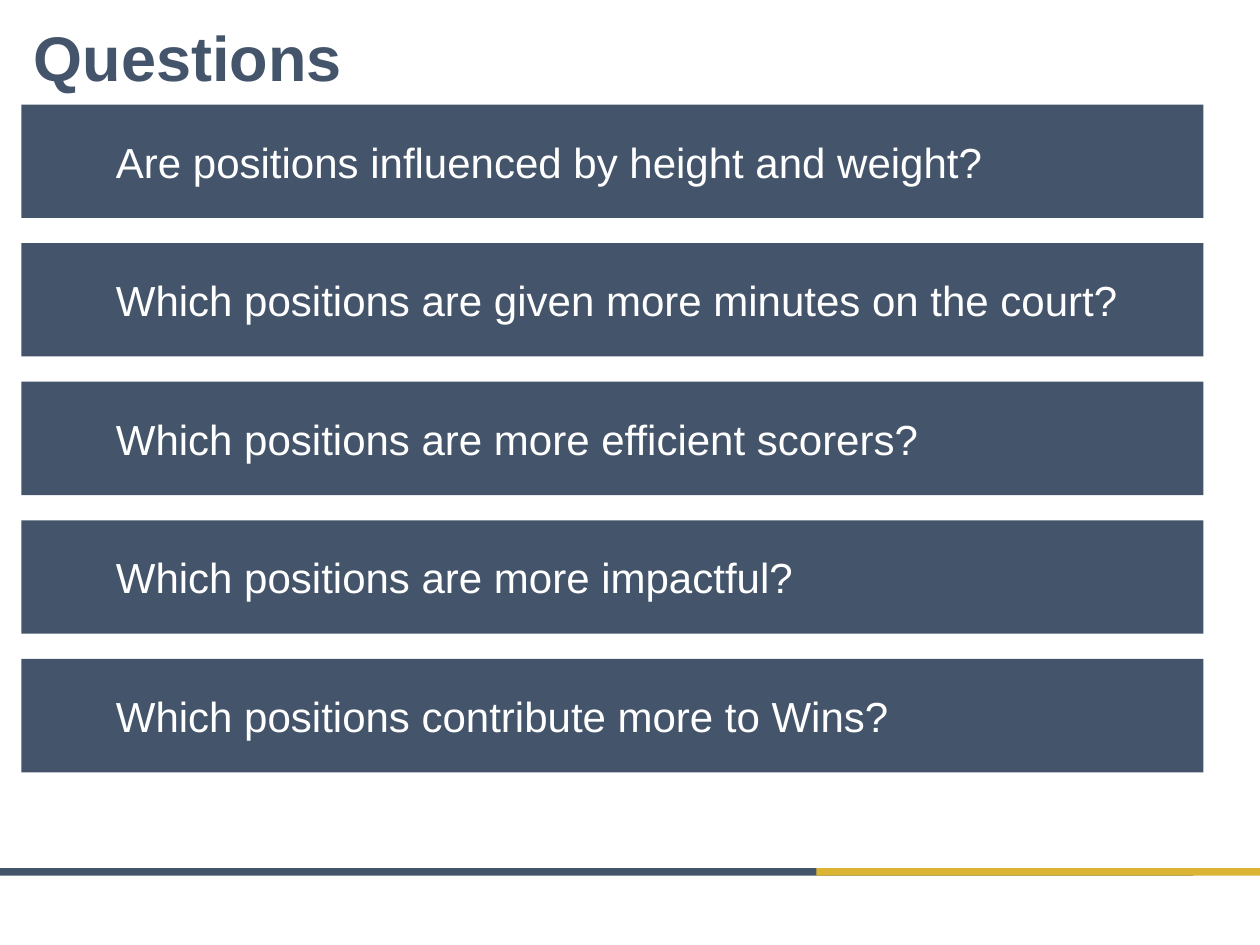
from typing import NamedTuple

from pptx import Presentation
from pptx import util as u
from pptx.dml.color import RGBColor
from pptx.enum import shapes, text

PX = u.Inches(1) // 100  # one px is a hundredth of an inch
COLORS = {"navy": "44546A", "gold": "DCB434", "white": "FFFFFF"}
FONT = "Arial"
BAR_TOP, BAR_PITCH = 83, 110


class Box(NamedTuple):
    left: int
    top: int
    width: int
    height: int

    def emu(self) -> list[int]:
        return [v * PX for v in self]


class Style(NamedTuple):
    size: int
    color: str
    bold: bool
    inset_left: int
    inset_right: int


TITLE_STYLE = Style(36, "navy", True, 10, 10)
BAR_STYLE = Style(24, "white", False, 75, 28)
FOOTER_RULES = [(Box(0, 689, 947, 6), "navy"), (Box(648, 689, 352, 6), "gold")]
QUESTIONS = [
    "Are positions influenced by height and weight?",
    "Which positions are given more minutes on the court?",
    "Which positions are more efficient scorers?",
    "Which positions are more impactful?",
    "Which positions contribute more to Wins?",
]


def rgb(name: str) -> RGBColor:
    return RGBColor.from_string(COLORS[name])


def add_rect(s, box: Box, color: str):
    sp = s.shapes.add_shape(shapes.MSO_SHAPE.RECTANGLE, *box.emu())
    sp.shadow.inherit = False
    sp.fill.solid()
    sp.fill.fore_color.rgb = rgb(color)
    sp.line.fill.background()
    return sp


def set_text(sp, words: str, style: Style) -> None:
    tf = sp.text_frame
    tf.text = words
    tf.word_wrap = True
    tf.vertical_anchor = text.MSO_ANCHOR.MIDDLE
    tf.margin_left, tf.margin_right = style.inset_left * PX, style.inset_right * PX
    tf.margin_top = tf.margin_bottom = 5 * PX
    p = tf.paragraphs[0]
    p.alignment = text.PP_ALIGN.LEFT
    font = p.runs[0].font
    font.name, font.size, font.bold = FONT, u.Pt(style.size), style.bold
    font.color.rgb = rgb(style.color)


def main() -> None:
    prs = Presentation()
    prs.slide_width, prs.slide_height = 1000 * PX, 750 * PX
    s = prs.slides.add_slide(prs.slide_layouts[6])

    for box, color in FOOTER_RULES:
        add_rect(s, box, color)

    title = s.shapes.add_textbox(*Box(17, 18, 890, 54).emu())
    set_text(title, "Questions", TITLE_STYLE)

    for i, question in enumerate(QUESTIONS):
        bar = add_rect(s, Box(17, BAR_TOP + i * BAR_PITCH, 938, 90), "navy")
        set_text(bar, question, BAR_STYLE)

    prs.save("out.pptx")


if __name__ == "__main__":
    main()
